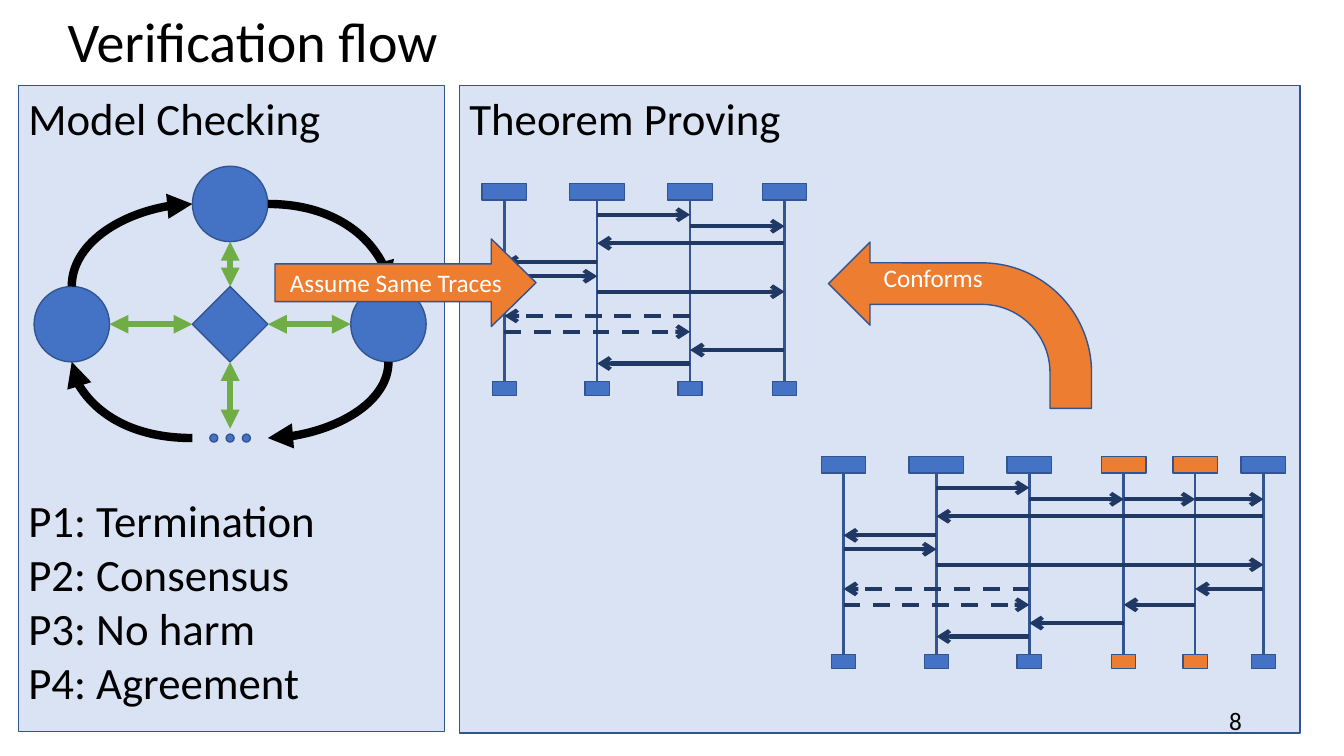
from dataclasses import dataclass
from itertools import product

from lxml.etree import SubElement
from pptx import Presentation
from pptx.dml.color import RGBColor
from pptx.enum.dml import MSO_LINE as Dash
from pptx.enum.shapes import MSO_CONNECTOR as Link, MSO_SHAPE as Kind
from pptx.enum.text import MSO_ANCHOR as Anchor, MSO_AUTO_SIZE as Fit, PP_ALIGN as Align
from pptx.oxml.ns import qn
from pptx.util import Cm, Pt


@dataclass(frozen=True)
class Theme:
    """Colours, font and type sizes of the slide."""
    font: str = "Calibri"
    ink: str = "000000"
    white: str = "FFFFFF"
    panel: str = "DAE3F3"
    edge: str = "325491"
    blue: str = "4472C4"
    navy: str = "203864"
    orange: str = "ED7D31"
    green: str = "70AD47"
    title: int = 40
    body: int = 32
    label: int = 18


T = Theme()


def rgb(code):
    """Turn a hex code into a colour."""
    return RGBColor.from_string(code)


def place(item, box):
    """Move an item to a box of left, top, width and height in cm."""
    item.left, item.top, item.width, item.height = map(Cm, box)


def paint(item, fill):
    """Give an item its fill and the common edge."""
    item.fill.solid()
    item.fill.fore_color.rgb = rgb(fill)
    item.line.color.rgb = rgb(T.edge)
    item.line.width = Pt(1)


def write(item, text, size, ink=T.ink, align=Align.LEFT, anchor=Anchor.TOP):
    """Set text and format each of its paragraphs."""
    frame = item.text_frame
    frame.text = text
    frame.word_wrap = True
    frame.auto_size = Fit.NONE
    frame.vertical_anchor = anchor
    for para in frame.paragraphs:
        para.alignment = align
        para.space_before = Pt(0)
        para.line_spacing = 1.0
        for run in para.runs:
            run.font.name = T.font
            run.font.size = Pt(size)
            run.font.color.rgb = rgb(ink)
    return frame


def shape(slide, kind, box, fill=T.blue):
    """Add a preset shape without shadow."""
    item = slide.shapes.add_shape(kind, *map(Cm, box))
    item.shadow.inherit = False
    paint(item, fill)
    return item


def link(slide, ends, ink, width, head=None, tail=None, dash=False, kind=Link.STRAIGHT):
    """Add a connector with optional arrowheads."""
    item = slide.shapes.add_connector(kind, *map(Cm, ends))
    item.line.color.rgb = rgb(ink)
    item.line.width = Pt(width)
    if dash:
        item.line.dash_style = Dash.DASH
    props = item._element.spPr
    for tag, tip in (("a:headEnd", head), ("a:tailEnd", tail)):
        if tip:
            SubElement(props.find(qn("a:ln")), qn(tag), type=tip)
    SubElement(props, qn("a:effectLst"))
    return item


def header(slide, box):
    """Place the title."""
    title = slide.shapes.title
    place(title, box)
    frame = write(title, "Verification flow", T.title, anchor=Anchor.MIDDLE)
    frame.paragraphs[0].line_spacing = 0.9


def checks(slide, box):
    """Fill the left panel with its heading, properties and cycle."""
    body = slide.placeholders[1]
    place(body, box)
    paint(body, T.panel)
    lines = ["Model Checking", "P1: Termination", "P2: Consensus",
             "P3: No harm", "P4: Agreement"]
    frame = write(body, "\n".join(lines), T.body)
    for para in frame.paragraphs:
        props = para._p.get_or_add_pPr()
        props.set("marL", "0")
        props.set("indent", "0")
        SubElement(props, qn("a:buNone"))
    frame.paragraphs[1].space_before = Pt(249)
    cycle(slide, box[0] + 0.4, box[1] + 2.03)


def cycle(slide, left, top):
    """Draw the state ring around its central diamond."""
    rad, step, drop = 0.95, 3.99, 2.87
    mid, row = left + rad + step, top + 3.98
    high, low = top + rad, row + drop

    def node(kind, x, y, r=rad):
        """Add a node around its centre."""
        shape(slide, kind, (x - r, y - r, 2 * r, 2 * r))

    for x, y in ((mid, high), (mid - step, row), (mid + step, row)):
        node(Kind.OVAL, x, y)
    node(Kind.DIAMOND, mid, row)
    for k in (-1, 0, 1):
        node(Kind.OVAL, mid + 0.41 * k, low, 0.1)

    for sx, sy in product((-1, 1), repeat=2):
        ends = (mid + sx * rad, high if sy < 0 else low,
                mid + sx * step, row + sy * rad)
        tip = "head" if sx == sy else "tail"
        arc = link(slide, ends, T.ink, 6, kind=Link.CURVE, **{tip: "triangle"})
        arc._element.spPr.find(qn("a:prstGeom")).set("prst", "curvedConnector2")

    far = step - rad
    for x, y, end_x, end_y, dash in (
            (-far, 0, -rad, 0, False), (rad, 0, far, 0, False),
            (0, rad, 0, 2.63, False), (0, -2.08, 0, -rad, True)):
        link(slide, (mid + x, row + y, mid + end_x, row + end_y),
             T.green, 4.5, "triangle", "triangle", dash)


def proofs(slide, box):
    """Fill the right panel with its heading and both traces."""
    left, top = box[:2]
    panel = shape(slide, Kind.RECTANGLE, box, T.panel)
    write(panel, "Theorem Proving", T.body)
    trace(slide, left + 0.57, top + 2.47, 4)
    trace(slide, left + 9.12, top + 9.35, 6)


def trace(slide, left, top, count):
    """Draw a sequence chart; six lifelines include two added ones."""
    axes = [left + x for x in (0.56, 2.9, 5.24, 7.62, 9.42, 11.14)[:count]]
    last = count - 1
    for k, x in enumerate(axes):
        fill = T.orange if 3 <= k < last else T.blue
        wide = 1.38 if k == 1 else 1.12
        for width, y, high in ((0.03, 0.41, 4.9), (wide, 0, 0.41), (0.61, 4.98, 0.36)):
            shape(slide, Kind.RECTANGLE, (x - width / 2, top + y, width, high), fill)

    calls = [(1, 2, 0.78), (2, 3, 1.07), (last, 1, 1.5), (1, 0, 1.98),
             (0, 1, 2.33), (1, last, 2.72), (2, 0, 3.33), (0, 2, 3.73),
             (3, 2, 4.19), (2, 1, 4.53)]
    if last > 3:
        calls += [(3, 4, 1.07), (4, 5, 1.07), (5, 4, 3.33), (4, 3, 3.73)]
    for start, end, y in calls:
        link(slide, (axes[start], top + y, axes[end], top + y), T.navy, 3,
             tail="arrow", dash={start, end} == {0, 2})


def assume(slide, box):
    """Add the arrow between the panels."""
    arrow = shape(slide, Kind.RIGHT_ARROW, box, T.orange)
    arrow.adjustments[0], arrow.adjustments[1] = 0.43, 0.51
    write(arrow, "Assume Same Traces", T.label, T.white, Align.CENTER, Anchor.MIDDLE)


def conform(slide, box):
    """Add the bent arrow between the traces."""
    arrow = shape(slide, Kind.BENT_ARROW, box, T.orange)
    for k, value in enumerate((0.25, 0.25, 0.25, 0.66)):
        arrow.adjustments[k] = value
    arrow._element.spPr.find(qn("a:xfrm")).set("flipH", "1")
    frame = write(arrow, "Conforms", T.label, T.white, Align.CENTER)
    frame.margin_top, frame.margin_right = Cm(0.5), Cm(1.6)


def number(slide, box):
    """Add the slide number."""
    item = slide.shapes.add_textbox(*map(Cm, box))
    write(item, "8", T.label, align=Align.RIGHT, anchor=Anchor.MIDDLE)


def main():
    """Build and save the slide."""
    deck = Presentation()
    deck.slide_width, deck.slide_height = Cm(33.87), Cm(19.05)
    slide = deck.slides.add_slide(deck.slide_layouts[1])
    header(slide, (1.45, 0.36, 30.96, 1.52))
    checks(slide, (0.46, 2.16, 10.74, 16.28))
    proofs(slide, (11.58, 2.16, 21.18, 16.31))
    conform(slide, (20.88, 6.1, 6.63, 4.19))
    assume(slide, (6.93, 6.02, 6.58, 2.21))
    number(slide, (23.93, 17.65, 7.62, 1.02))
    deck.save("out.pptx")


main()
